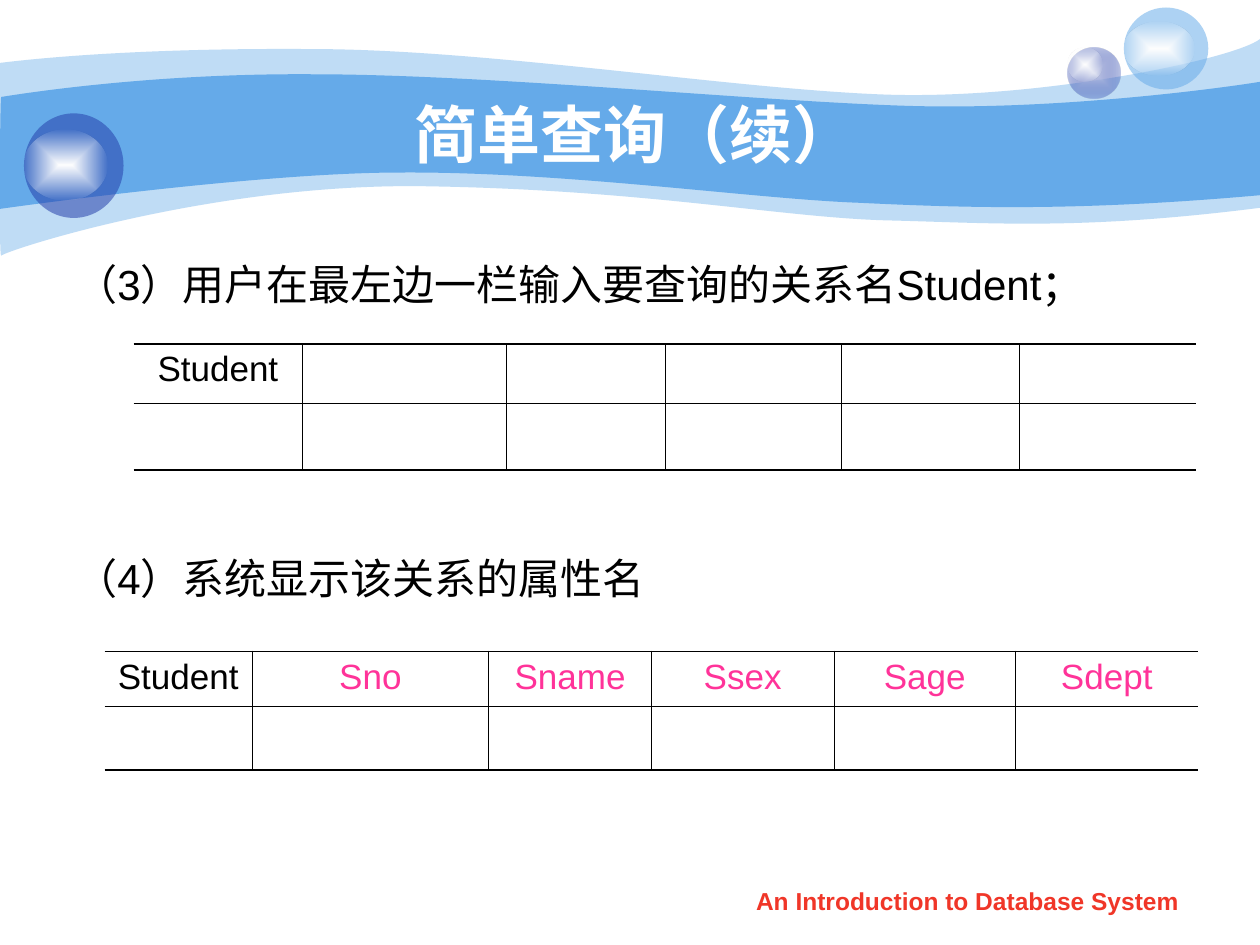
"""Build the QBE simple query slide with two relation skeleton tables."""
from dataclasses import dataclass

from pptx import Presentation
from pptx.dml.color import RGBColor
from pptx.enum.shapes import MSO_SHAPE
from pptx.enum.text import MSO_ANCHOR, PP_ALIGN
from pptx.oxml import parse_xml
from pptx.oxml.ns import nsdecls, qn
from pptx.util import Inches, Pt


@dataclass(frozen=True)
class Theme:
    font: str = "Arial"
    sky: str = "65AAE9"
    navy: str = "233DA9"
    lilac: str = "C6CCE8"
    white: str = "FFFFFF"
    glow_edge: str = "FEFEFE"
    ink: str = "000000"
    pink: str = "FF3399"
    red: str = "F03628"
    title: int = 36
    body: int = 24
    cell: int = 20
    footer: int = 14


theme = Theme()


def paint(shape, *stops):
    colors = [
        f'<a:srgbClr val="{color}"><a:alpha val="{alpha * 1000}"/></a:srgbClr>'
        for color, alpha in stops
    ]
    if len(colors) == 1:
        fill = f'<a:solidFill {nsdecls("a")}>{colors[0]}</a:solidFill>'
    else:
        fill = (
            f'<a:gradFill {nsdecls("a")} rotWithShape="1"><a:gsLst>'
            f'<a:gs pos="0">{colors[0]}</a:gs><a:gs pos="100000">{colors[1]}</a:gs>'
            '</a:gsLst><a:path path="rect">'
            '<a:fillToRect l="50000" t="50000" r="50000" b="50000"/>'
            '</a:path></a:gradFill>'
        )
    shape.shadow.inherit = False
    shape.line.fill.background()
    shape.element.spPr.insert(2, parse_xml(fill))


def write(paragraph, text, size, color, bold=False, align=PP_ALIGN.CENTER):
    paragraph.text = text
    paragraph.alignment = align
    font = paragraph.font
    font.name, font.size, font.bold = theme.font, Pt(size), bold
    font.color.rgb = RGBColor.from_string(color)


prs = Presentation()
prs.slide_width, prs.slide_height = Inches(10), Inches(7.5)
slide = prs.slides.add_slide(prs.slide_layouts[6])
shapes = slide.shapes

waves = [
    (41, (0, 0.5), [
        [(0.24, 0.47), (1.07, 0.38), (2.47, 0.39)],
        [(3.86, 0.39), (5.75, 0.7), (6.99, 0.75)],
        [(8.22, 0.8), (9.8, 0.47), (10, 0.31)],
        [(10, 1.65)],
        [(8.58, 1.83), (7.87, 1.77), (7.05, 1.75)],
        [(6.22, 1.73), (5.15, 1.51), (3.43, 1.48)],
        [(1.72, 1.44), (0.04, 1.99), (0.01, 2.03)],
        [(-0.01, 2.08), (0, 0.75), (0, 0.5)],
    ]),
    (100, (0.01, 0.77), [
        [(0.02, 0.77), (1.1, 0.58), (2.48, 0.59)],
        [(3.86, 0.59), (5.95, 0.8), (7.18, 0.84)],
        [(8.41, 0.88), (9.76, 0.69), (10, 0.65)],
        [(10, 1.55)],
        [(8.53, 1.68), (7.65, 1.65), (6.82, 1.61)],
        [(5.99, 1.58), (4.47, 1.36), (3.17, 1.37)],
        [(2.03, 1.37), (-0.02, 1.66), (-0.01, 1.66)],
        [(0, 1.66), (0, 0.77), (0.01, 0.77)],
    ]),
]
for alpha, start, segments in waves:
    builder = shapes.build_freeform(Inches(start[0]), Inches(start[1]))
    builder.add_line_segments(
        [(Inches(x), Inches(y)) for segment in segments for x, y in segment], close=True
    )
    wave = builder.convert_to_shape()
    strokes = iter(list(wave.element.spPr.iter(qn("a:lnTo"))))
    for segment in segments:
        legs = [next(strokes) for _ in segment]
        if len(legs) == 3:
            curve = parse_xml(f'<a:cubicBezTo {nsdecls("a")}/>')
            legs[0].addprevious(curve)
            for leg in legs:
                curve.append(leg[0])
                leg.getparent().remove(leg)
    paint(wave, (theme.sky, alpha))

glow = [(theme.white, 100), (theme.glow_edge, 0)]
orbs = [
    ((8.47, 0.38, 0.42, 0.4), [(theme.lilac, 100), (theme.navy, 31)], (8.47, 0.38, 0.28, 0.27)),
    ((8.92, 0.06, 0.67, 0.65), [(theme.sky, 53)], (8.92, 0.17, 0.56, 0.43)),
    ((0.19, 0.9, 0.79, 0.83), [(theme.navy, 53)], (0.19, 1.03, 0.66, 0.56)),
]
for ball, ball_stops, shine in orbs:
    orb = shapes.add_group_shape()
    for box, stops in ((ball, ball_stops), (shine, glow)):
        paint(orb.shapes.add_shape(MSO_SHAPE.OVAL, *map(Inches, box)), *stops)

texts = [
    ((1, 0.75, 8.08, 0.62), ["简单查询（续）"],
     theme.title, theme.white, True, PP_ALIGN.CENTER, MSO_ANCHOR.MIDDLE),
    ((0.5, 2, 9.07, 4.92), ["（3）用户在最左边一栏输入要查询的关系名Student；", "（4）系统显示该关系的属性名"],
     theme.body, theme.ink, False, PP_ALIGN.LEFT, MSO_ANCHOR.TOP),
    ((5.71, 6.98, 3.94, 0.35), ["An Introduction to Database System"],
     theme.footer, theme.red, True, PP_ALIGN.CENTER, MSO_ANCHOR.TOP),
]
STEP_GAP = Pt(139.5)
for box, lines, size, color, bold, align, anchor in texts:
    frame = shapes.add_textbox(*map(Inches, box)).text_frame
    frame.word_wrap = True
    frame.vertical_anchor = anchor
    for i, line in enumerate(lines):
        paragraph = frame.add_paragraph() if i else frame.paragraphs[0]
        write(paragraph, line, size, color, bold, align)
        if i:
            paragraph.space_before = STEP_GAP

relations = [
    ((1.06, 2.73), [1.34, 1.62, 1.26, 1.4, 1.41, 1.4], [0.47, 0.53], ["Student"]),
    ((0.83, 5.17), [1.17, 1.88, 1.29, 1.45, 1.44, 1.45], [0.44, 0.5],
     ["Student", "Sno", "Sname", "Ssex", "Sage", "Sdept"]),
]
THIN, THICK = 0.45, 1.08
for (left, top), widths, heights, names in relations:
    relation = shapes.add_table(
        len(heights), len(widths), Inches(left), Inches(top),
        Inches(sum(widths)), Inches(sum(heights)),
    ).table
    relation.first_row = relation.horz_banding = False
    for column, width in zip(relation.columns, widths):
        column.width = Inches(width)
    for row, height in zip(relation.rows, heights):
        row.height = Inches(height)
    for c, name in enumerate(names):
        heading = relation.cell(0, c).text_frame.paragraphs[0]
        write(heading, name, theme.cell, theme.pink if c else theme.ink)
    for r in range(len(heights)):
        for c in range(len(widths)):
            cell = relation.cell(r, c)
            cell.fill.background()
            borders = {
                "lnL": THIN if c > 0 else 0,
                "lnR": THIN if c < len(widths) - 1 else 0,
                "lnT": THIN if r > 0 else THICK,
                "lnB": THIN if r < len(heights) - 1 else THICK,
            }
            for place, (side, weight) in enumerate(borders.items()):
                stroke = (
                    f'<a:solidFill><a:srgbClr val="{theme.ink}"/></a:solidFill>'
                    if weight else "<a:noFill/>"
                )
                cell._tc.tcPr.insert(place, parse_xml(
                    f'<a:{side} {nsdecls("a")} w="{Pt(weight)}">{stroke}</a:{side}>'
                ))

prs.save("out.pptx")
